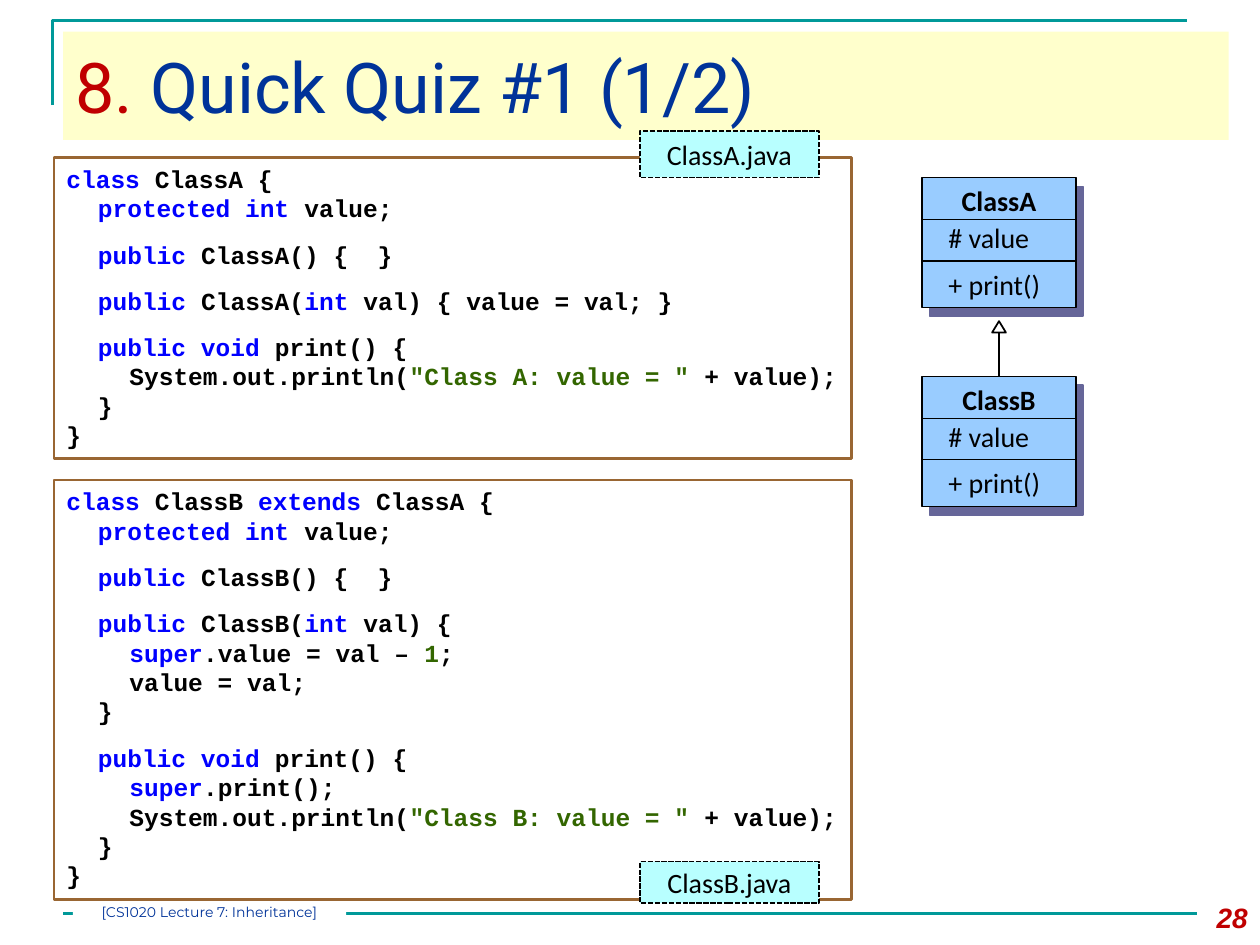
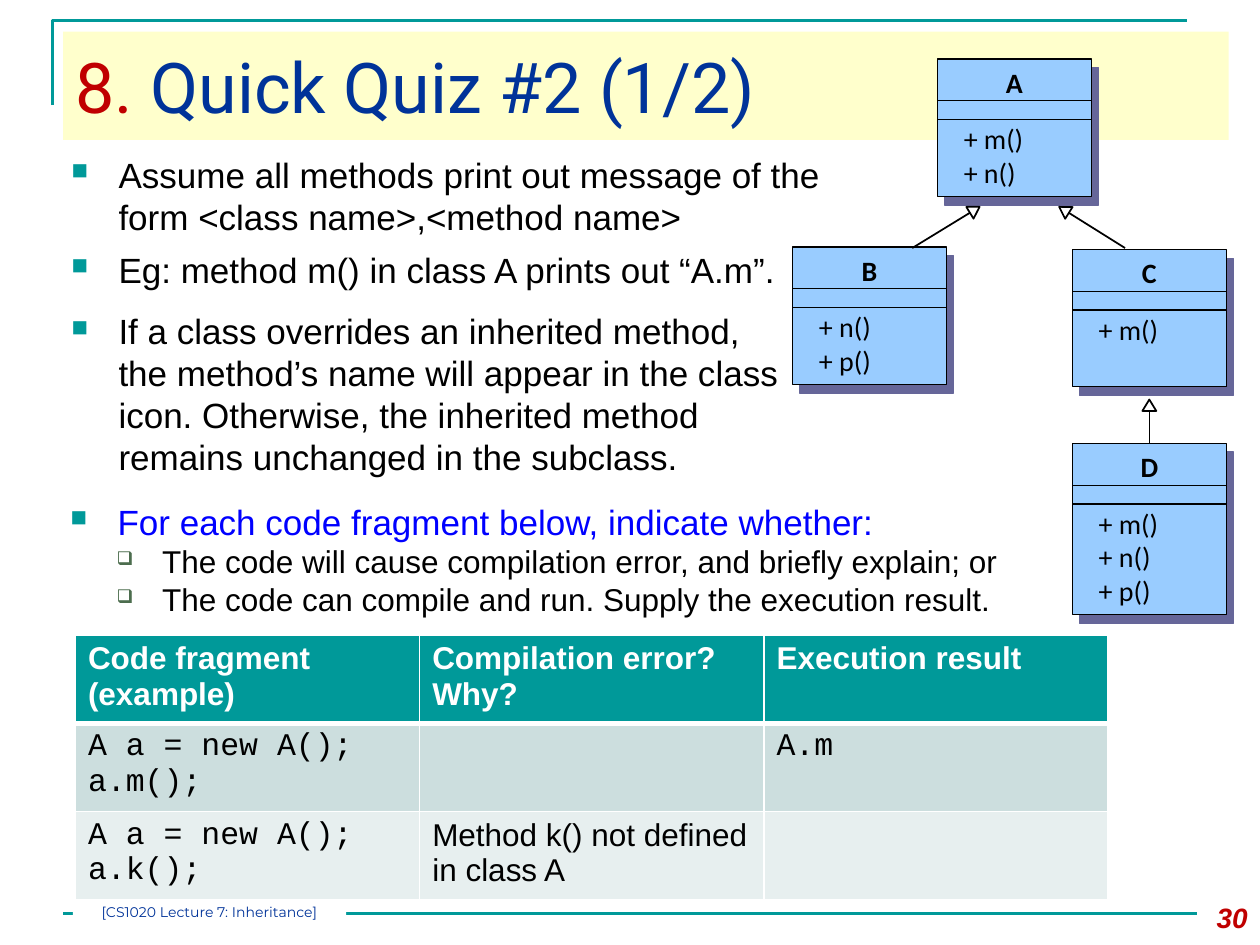
from math import atan2, degrees

from lxml import etree
from pptx import Presentation
from pptx.dml.color import RGBColor
from pptx.enum.dml import MSO_LINE
from pptx.enum.shapes import MSO_CONNECTOR, MSO_SHAPE
from pptx.enum.text import MSO_ANCHOR, PP_ALIGN
from pptx.oxml.ns import qn
from pptx.util import Cm, Pt

RECTANGLE, TRIANGLE = MSO_SHAPE.RECTANGLE, MSO_SHAPE.ISOSCELES_TRIANGLE
STRAIGHT = MSO_CONNECTOR.STRAIGHT
TOP, MIDDLE = MSO_ANCHOR.TOP, MSO_ANCHOR.MIDDLE
LEFT, CENTER, RIGHT = PP_ALIGN.LEFT, PP_ALIGN.CENTER, PP_ALIGN.RIGHT
DASH = MSO_LINE.SQUARE_DOT
TITLE_ONLY = 5

COLOURS = {
    "teal": "009999", "title_band": "FFFFCC", "red": "C00000", "navy": "003399",
    "black": "000000", "white": "FFFFFF", "keyword": "0000FF", "literal": "336600",
    "code_border": "996633", "file_tag": "B8FFFF", "class_fill": "99CCFF",
    "class_shadow": "666699", "sub_bullet": "4C6D4E",
    "row_odd": "CCDEDE", "row_even": "E7EFEF",
}
BODY, CODE, DIAGRAM, HEADING, FOOTER = "Arial", "Courier New", "Calibri", "Roboto", "Montserrat"
LINE_HEIGHT = 1.2  # line pitch of code and bullets, relative to the text size
CLASS_WIDTH = 3.1
NAME_HEIGHT = 0.84

# Tildes enclose keywords and literals; "+" before a line opens a gap above it
CLASS_A = [
    (0, "~class~ ClassA {"),
    (1, "~protected int ~value;"),
    (1, "+~public ~ClassA() {  }"),
    (1, "+~public ~ClassA(~int~ val) { value = val; }"),
    (1, "+~public void ~print() {"),
    (2, 'System.out.println(~"Class A: value = " ~+ value);'),
    (1, "}"),
    (0, "}"),
]
CLASS_B = [
    (0, "~class ~ClassB ~extends~ ClassA {"),
    (1, "~protected int ~value;"),
    (1, "+~public ~ClassB() {  }"),
    (1, "+~public ~ClassB(~int ~val) {"),
    (2, "~super~.value = val – ~1~;"),
    (2, "value = val;"),
    (1, "}"),
    (1, "+~public void ~print() {"),
    (2, "~super~.print();"),
    (2, 'System.out.println(~"Class B: value = " ~+ value);'),
    (1, "}"),
    (0, "}"),
]
QUIZ_TABLE = [
    ["Code fragment (example)", "Compilation error? Why?", "Execution result"],
    ["A a = new A();\na.m();", "", "A.m"],
    ["A a = new A();\na.k();", "Method k() not defined in class A", ""],
]


def rgb(name):
    return RGBColor.from_string(COLOURS[name])


def format_run(run, font, size, colour, bold=False, italic=False):
    run.font.name, run.font.size = font, Pt(size)
    run.font.bold, run.font.italic = bold, italic
    run.font.color.rgb = rgb(colour)


def set_text(shape, text, font, size, colour="black", align=LEFT, anchor=TOP, **style):
    frame = shape.text_frame
    frame.word_wrap = True
    frame.vertical_anchor = anchor
    frame.text = text
    for paragraph in frame.paragraphs:
        paragraph.alignment = align
        for run in paragraph.runs:
            format_run(run, font, size, colour, **style)


def add_text(slide, box, text, font, size, **style):
    shape = slide.shapes.add_textbox(*map(Cm, box))
    set_text(shape, text, font, size, **style)


def add_box(slide, kind, box, fill=None, line=None, width=1):
    shape = slide.shapes.add_shape(kind, *map(Cm, box))
    shape.shadow.inherit = False
    if fill:
        shape.fill.solid()
        shape.fill.fore_color.rgb = rgb(fill)
    else:
        shape.fill.background()
    if line:
        shape.line.color.rgb = rgb(line)
        shape.line.width = Pt(width)
    else:
        shape.line.fill.background()
    return shape


def add_line(slide, start, end, colour="black", width=0.75):
    line = slide.shapes.add_connector(STRAIGHT, *map(Cm, (*start, *end)))
    line.line.color.rgb = rgb(colour)
    line.line.width = Pt(width)
    etree.SubElement(line._element.spPr, qn("a:effectLst"))
    return line


def add_quiz_slide(presentation, heading, page):
    slide = presentation.slides.add_slide(presentation.slide_layouts[TITLE_ONLY])
    # Corner frame and footer rule
    builder = slide.shapes.build_freeform(Cm(1.06), Cm(2.12))
    builder.add_line_segments([(Cm(1.06), Cm(0.42)), (Cm(23.92), Cm(0.42))], close=False)
    frame = builder.convert_to_shape()
    frame.shadow.inherit = False
    frame.fill.background()
    frame.line.color.rgb = rgb("teal")
    frame.line.width = Pt(1.5)
    add_line(slide, (1.27, 18.42), (24.13, 18.42), "teal", 1.5)

    # Title
    title = slide.shapes.title
    title.left, title.top, title.width, title.height = map(Cm, (1.27, 0.64, 23.5, 2.18))
    title.fill.solid()
    title.fill.fore_color.rgb = rgb("title_band")
    set_text(title, "8. ", HEADING, 40, "red", anchor=MIDDLE)
    format_run(title.text_frame.paragraphs[0].add_run(), HEADING, 40, "navy")
    title.text_frame.paragraphs[0].runs[1].text = heading

    # Page number
    add_text(slide, (23.7, 18.03, 1.7, 1.02), page, BODY, 16,
             colour="red", align=RIGHT, bold=True, italic=True)
    return slide


def add_footer(slide):
    label = add_box(slide, RECTANGLE, (1.47, 18.21, 5.51, 0.46), "white")
    frame = label.text_frame
    frame.margin_left = frame.margin_top = frame.margin_right = frame.margin_bottom = 0
    set_text(label, "[CS1020 Lecture 7: Inheritance]", FOOTER, 8, "navy", CENTER)


def add_code(slide, top, height, lines):
    size = 14
    box = add_box(slide, RECTANGLE, (1.09, top, 16.08, height), line="code_border", width=1.5)
    frame = box.text_frame
    frame.word_wrap = True
    frame.vertical_anchor = TOP
    for index, (level, line) in enumerate(lines):
        paragraph = frame.add_paragraph() if index else frame.paragraphs[0]
        paragraph.alignment = LEFT
        paragraph.line_spacing = Pt(LINE_HEIGHT * size)
        paragraph.space_before = Pt(9.6 if line.startswith("+") else 0)
        paragraph._p.get_or_add_pPr().set("marL", str(Cm(0.635 * level)))
        for position, part in enumerate(line.removeprefix("+").split("~")):
            if not part:
                continue
            colour = "black"
            if position % 2:
                colour = "literal" if part[0] in '"1' else "keyword"
            run = paragraph.add_run()
            run.text = part
            format_run(run, CODE, size, colour, bold=True)


def add_file_tag(slide, top, height, name):
    tag = add_box(slide, RECTANGLE, (12.9, top, 3.61, height), "file_tag", "black")
    tag.line.dash_style = DASH
    set_text(tag, name, DIAGRAM, 16, align=CENTER, anchor=MIDDLE)


def add_class(slide, left, top, height, name, methods, attributes=""):
    box = add_box(slide, RECTANGLE, (left, top, CLASS_WIDTH, height), "class_fill", "black", 0.75)
    effects = box._element.spPr.find(qn("a:effectLst"))
    shadow = etree.SubElement(effects, qn("a:outerShdw"), dist=str(Pt(6.4)),
                              dir=str(51 * 60000), algn="ctr", rotWithShape="0")
    etree.SubElement(shadow, qn("a:srgbClr"), val=COLOURS["class_shadow"])

    method_line, method_top = (1.68, 1.68) if attributes else (1.22, 1.14)
    for offset in (NAME_HEIGHT, method_line):
        add_line(slide, (left, top + offset), (left + CLASS_WIDTH, top + offset))
    add_text(slide, (left + 0.38, top, 2.34, 0.94), name, DIAGRAM, 16, align=CENTER, bold=True)
    if attributes:
        add_text(slide, (left + 0.28, top + 0.74, 2.34, 0.94), attributes, DIAGRAM, 16)
    add_text(slide, (left + 0.28, top + method_top, 2.54, height - method_top),
             methods, DIAGRAM, 16)
    return box


def add_inheritance(slide, start, head, subclass=None):
    """Line from start to a hollow triangle centred on head."""
    line = add_line(slide, start, head, width=1)
    if subclass:
        line.begin_connect(subclass, 0)
    width, height = 0.28, 0.23
    triangle = add_box(slide, TRIANGLE,
                       (head[0] - width / 2, head[1] - height / 2, width, height),
                       "white", "black")
    triangle.rotation = degrees(atan2(head[0] - start[0], start[1] - head[1]))


def add_bullets(slide, box, items):
    """Each item is (level, text, colour)."""
    frame = slide.shapes.add_textbox(*map(Cm, box)).text_frame
    frame.word_wrap = True
    for index, (level, text, colour) in enumerate(items):
        paragraph = frame.add_paragraph() if index else frame.paragraphs[0]
        paragraph.text = text
        paragraph.level = level
        size, margin, hanging, space, symbol, bullet_colour, scale = (
            (18, 1.85, 0.92, 0, "❑", "sub_bullet", 60) if level
            else (20, 0.95, 0.95, 6, "■", "teal", 65))
        paragraph.space_before = Pt(space)
        paragraph.line_spacing = Pt(LINE_HEIGHT * size)
        format_run(paragraph.runs[0], BODY, size, colour)
        properties = paragraph._p.get_or_add_pPr()
        properties.set("marL", str(Cm(margin)))
        properties.set("indent", str(-Cm(hanging)))
        bullet = etree.SubElement(properties, qn("a:buClr"))
        etree.SubElement(bullet, qn("a:srgbClr"), val=COLOURS[bullet_colour])
        etree.SubElement(properties, qn("a:buSzPct"), val=str(scale * 1000))
        etree.SubElement(properties, qn("a:buChar"), char=symbol)


def set_borders(cell, bottom):
    properties = cell._tc.get_or_add_tcPr()
    widths = (("lnL", 1), ("lnR", 1), ("lnT", 1), ("lnB", bottom))
    for position, (side, width) in enumerate(widths):
        border = etree.Element(qn("a:" + side), w=str(Pt(width)))
        fill = etree.SubElement(border, qn("a:solidFill"))
        etree.SubElement(fill, qn("a:srgbClr"), val=COLOURS["white"])
        properties.insert(position, border)


def add_quiz_table(slide, rows):
    row_height, column_width = 1.68, 6.94
    table = slide.shapes.add_table(len(rows), len(rows[0]), Cm(1.52), Cm(12.8),
                                   Cm(column_width * len(rows[0])),
                                   Cm(row_height * len(rows))).table
    for row_index, row in enumerate(rows):
        header = row_index == 0
        for column_index, text in enumerate(row):
            cell = table.cell(row_index, column_index)
            cell.fill.solid()
            cell.fill.fore_color.rgb = rgb(("teal", "row_odd", "row_even")[row_index])
            set_borders(cell, 3 if header else 1)
            cell.text = text
            font = BODY if header or column_index == 1 else CODE
            for paragraph in cell.text_frame.paragraphs:
                for run in paragraph.runs:
                    format_run(run, font, 18, "white" if header else "black", bold=header)


def build_quiz_one(presentation):
    slide = add_quiz_slide(presentation, "Quick Quiz #1 (1/2)", "28")
    add_code(slide, 3.18, 6.07, CLASS_A)
    add_code(slide, 9.68, 8.46, CLASS_B)
    add_file_tag(slide, 2.64, 0.94, "ClassA.java")
    add_file_tag(slide, 17.37, 0.84, "ClassB.java")
    # Class diagram
    add_class(slide, 18.59, 3.58, 2.62, "ClassA", "+ print()", "# value")
    class_b = add_class(slide, 18.59, 7.59, 2.62, "ClassB", "+ print()", "# value")
    add_inheritance(slide, (20.14, 7.59), (20.14, 6.59), class_b)
    add_footer(slide)


def build_quiz_two(presentation):
    slide = add_quiz_slide(presentation, "Quick Quiz #2 (1/2)", "30")
    add_bullets(slide, (1.19, 2.97, 16.71, 2.92), [
        (0, "Assume all methods print out message of the form <class name>,<method name>", "black"),
        (0, "Eg: method m() in class A prints out “A.m”.", "black")])
    add_bullets(slide, (1.19, 6.12, 15.06, 4.55), [
        (0, "If a class overrides an inherited method, the method’s name will appear in the "
            "class icon. Otherwise, the inherited method remains unchanged in the subclass.",
         "black")])
    add_bullets(slide, (1.17, 9.96, 19.76, 2.92), [
        (0, "For each code fragment below, indicate whether:", "keyword"),
        (1, "The code will cause compilation error, and briefly explain; or", "black"),
        (1, "The code can compile and run. Supply the execution result.", "black")])
    add_quiz_table(slide, QUIZ_TABLE)
    # Class diagram
    add_class(slide, 18.9, 1.19, 2.77, "A", "+ m()\n+ n()")
    add_class(slide, 15.98, 4.98, 2.77, "B", "+ n()\n+ p()")
    add_class(slide, 21.62, 5.03, 2.77, "C", "+ m()")
    class_d = add_class(slide, 21.62, 8.94, 3.45, "D", "+ m()\n+ n()\n+ p()")
    add_inheritance(slide, (18.39, 5), (19.65, 4.23))
    add_inheritance(slide, (22.68, 5), (21.45, 4.23))
    add_inheritance(slide, (23.17, 8.94), (23.17, 8.17), class_d)
    add_footer(slide)


def main():
    presentation = Presentation()
    presentation.slide_width, presentation.slide_height = Cm(25.4), Cm(19.05)
    build_quiz_one(presentation)
    build_quiz_two(presentation)
    presentation.save("out.pptx")


if __name__ == "__main__":
    main()
